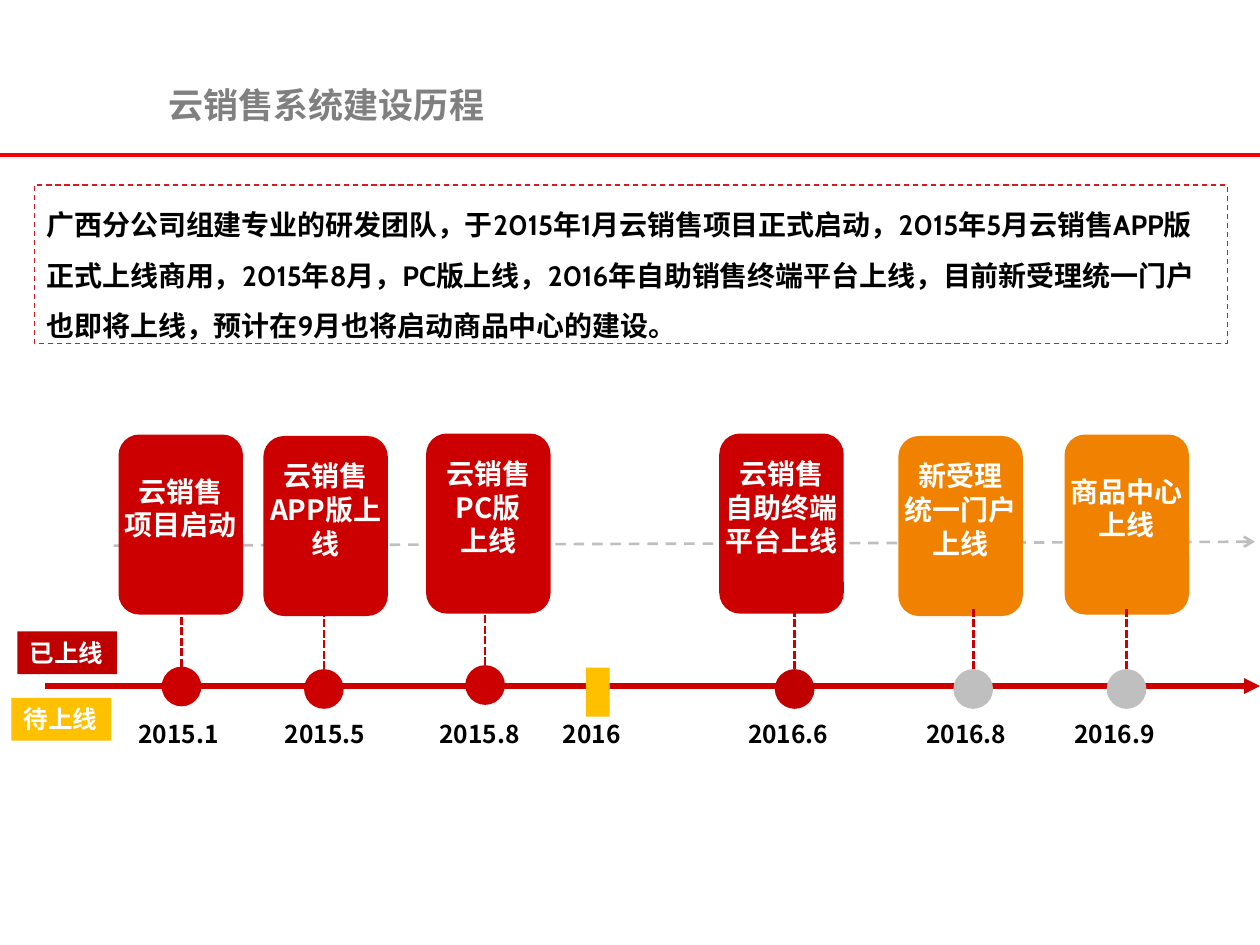
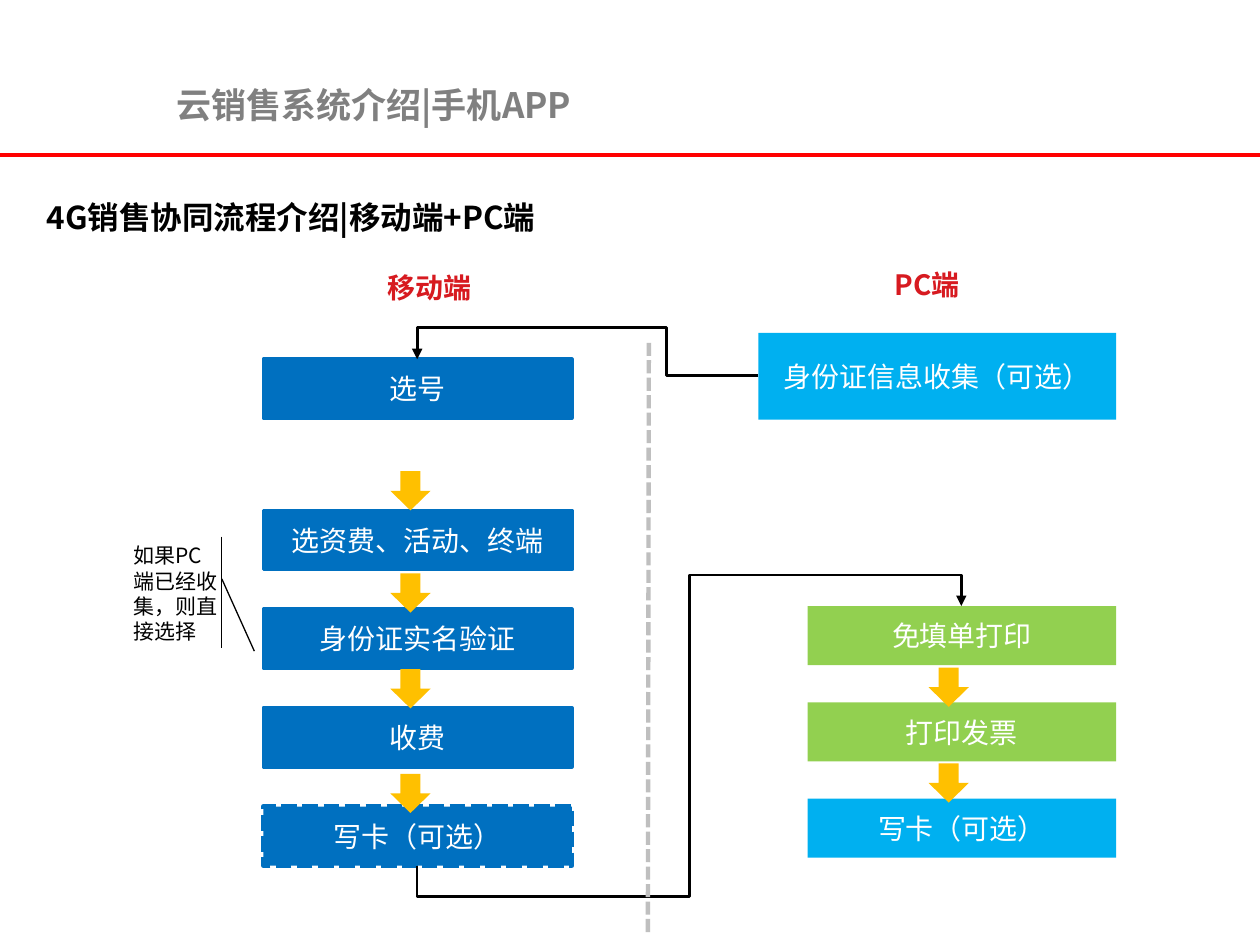
from dataclasses import dataclass

from lxml.etree import SubElement
from pptx import Presentation
from pptx.dml.color import RGBColor
from pptx.enum.dml import MSO_LINE
from pptx.enum.shapes import MSO_CONNECTOR, MSO_SHAPE
from pptx.enum.text import MSO_ANCHOR, PP_ALIGN
from pptx.oxml.ns import qn
from pptx.util import Cm, Pt


@dataclass(frozen=True)
class Theme:
    rule: str = "FF0000"
    red: str = "CC0000"
    dark_red: str = "C00000"
    accent: str = "D71A20"
    orange: str = "F18101"
    amber: str = "FFC000"
    gray: str = "BFBFBF"
    title: str = "808080"
    blue: str = "0070C0"
    sky: str = "00B0F0"
    green: str = "92D050"
    black: str = "000000"
    white: str = "FFFFFF"
    font: str = "Noto Sans CJK SC"
    body_font: str = "Cabin"
    title_font: str = "Times New Roman"
    title_size: int = 20
    heading_size: int = 18
    body_size: int = 16
    label_size: int = 14
    note_size: int = 12


THEME = Theme()


def set_all(target, values):
    for name, value in values.items():
        setattr(target, name, value)


class Deck:
    def __init__(self, theme):
        self.theme = theme
        self.prs = Presentation()
        self.prs.slide_width, self.prs.slide_height = Cm(25.4), Cm(19.05)
        self.s = None

    def new_slide(self, title, left, top, font):
        self.s = self.prs.slides.add_slide(self.prs.slide_layouts[6])
        t = self.theme
        self.line((0, 3.12), (25.4, 3.12), t.rule, 2)
        self.text(title, (left, top, 16, 1.2), size=t.title_size, color=t.title,
                  font=font, anchor=MSO_ANCHOR.MIDDLE)

    def fill_text(self, sp, text, size=THEME.body_size, color=THEME.white, bold=True,
                  font=THEME.font, align=PP_ALIGN.LEFT, anchor=MSO_ANCHOR.TOP,
                  spacing=None, **frame):
        """Fill a shape with text, one paragraph per line; frame holds text frame values."""
        tf = sp.text_frame
        set_all(tf, {"word_wrap": True, "vertical_anchor": anchor, **frame})
        for i, content in enumerate(text.split("\n")):
            p = tf.add_paragraph() if i else tf.paragraphs[0]
            set_all(p, {"alignment": align, "line_spacing": spacing})
            r = p.add_run()
            r.text = content
            set_all(r.font, {"size": Pt(size), "bold": bold, "name": font})
            r.font.color.rgb = RGBColor.from_string(color)
            SubElement(r._r.get_or_add_rPr(), qn("a:ea"), typeface=self.theme.font)

    def text(self, text, box, **style):
        sp = self.s.shapes.add_textbox(*map(Cm, box))
        self.fill_text(sp, text, **{"color": self.theme.black, **style})

    def shape(self, kind, box, fill=None, line=None, width=1, dash=None):
        sp = self.s.shapes.add_shape(kind, *map(Cm, box))
        sp.shadow.inherit = False
        if fill:
            sp.fill.solid()
            sp.fill.fore_color.rgb = RGBColor.from_string(fill)
        else:
            sp.fill.background()
        if line:
            self.stroke(sp.line, line, width, dash)
        else:
            sp.line.fill.background()
        return sp

    def box(self, text, box, fill, line=None, width=2, dash=None):
        sp = self.shape(MSO_SHAPE.RECTANGLE, box, fill, line, width, dash)
        self.fill_text(sp, text, bold=False, align=PP_ALIGN.CENTER, anchor=MSO_ANCHOR.MIDDLE)

    def down_arrow(self, left, top):
        self.shape(MSO_SHAPE.DOWN_ARROW, (left, top, 0.81, 0.79), self.theme.amber)

    def stroke(self, line, color, width, dash=None):
        line.color.rgb = RGBColor.from_string(color)
        set_all(line, {"width": Pt(width), "dash_style": dash})

    def line(self, start, end, color, width, dash=None, head=None, kind=MSO_CONNECTOR.STRAIGHT):
        c = self.s.shapes.add_connector(kind, *map(Cm, (*start, *end)))
        self.stroke(c.line, color, width, dash)
        spPr = c._element.spPr
        if head:
            SubElement(spPr.find(qn("a:ln")), qn("a:tailEnd"), type=head)
        SubElement(spPr, qn("a:effectLst"))
        return c

    def elbow(self, start, end, preset, rotation, adjustments):
        """Draw a bent arrow; start and end are its corners before rotation."""
        c = self.line(start, end, self.theme.black, 1.5, head="triangle",
                      kind=MSO_CONNECTOR.ELBOW)
        spPr = c._element.spPr
        spPr.find(qn("a:xfrm")).set("rot", str(rotation * 60000))
        geom = spPr.find(qn("a:prstGeom"))
        geom.set("prst", preset)
        guides = geom.find(qn("a:avLst"))
        if guides is None:
            guides = SubElement(geom, qn("a:avLst"))
        for i, value in enumerate(adjustments, 1):
            SubElement(guides, qn("a:gd"), name=f"adj{i}", fmla=f"val {round(value * 100000)}")


def history_slide(d):
    t = d.theme
    d.new_slide("云销售系统建设历程", 3.15, 1.51, t.title_font)
    d.line((2.29, 11), (25.3, 10.92), t.gray, 1.5, MSO_LINE.DASH, "arrow")
    d.line((0.91, 13.83), (25.4, 13.83), t.red, 3, head="triangle")

    # card left, card top, card fill, dot centre, dot top, dot fill, date left, date, text
    stages = [
        (2.39, 8.76, t.red, 3.66, 13.44, t.red, 2.54, "2015.1", "云销售\n项目启动"),
        (5.31, 8.79, t.red, 6.53, 13.49, t.red, 5.49, "2015.5", "云销售APP版上线"),
        (8.59, 8.74, t.red, 9.78, 13.41, t.red, 8.61, "2015.8", "云销售PC版\n上线"),
        (14.5, 8.74, t.red, 16.02, 13.49, t.dark_red, 14.83, "2016.6",
         "云销售\n自助终端\n平台上线"),
        (18.11, 8.79, t.orange, 19.62, 13.49, t.gray, 18.42, "2016.8",
         "新受理\n统一门户上线"),
        (21.46, 8.76, t.orange, 22.71, 13.49, t.gray, 21.41, "2016.9", "商品中心上线"),
    ]
    dot = 0.8
    for left, top, fill, centre, dot_top, dot_fill, date_left, date, text in stages:
        card = d.shape(MSO_SHAPE.ROUNDED_RECTANGLE, (left, top, 2.51, 3.63), fill)
        d.fill_text(card, text, align=PP_ALIGN.CENTER, anchor=MSO_ANCHOR.MIDDLE,
                    margin_left=0, margin_right=0, margin_top=0, margin_bottom=Cm(0.67))
        d.line((centre, dot_top), (centre, dot_top - 1.24), t.red, 1.5, MSO_LINE.SQUARE_DOT)
        d.shape(MSO_SHAPE.OVAL, (centre - dot / 2, dot_top, dot, dot), dot_fill)
        d.text(date, (date_left, 14.38, 2.6, 0.86), size=t.label_size)

    d.shape(MSO_SHAPE.RECTANGLE, (11.81, 13.46, 0.48, 0.99), t.amber)
    d.text("2016", (11.1, 14.38, 2, 0.86), size=t.label_size)

    for text, left, top, fill in [("待上线", 0.23, 14.07, t.amber),
                                  ("已上线", 0.35, 12.73, t.dark_red)]:
        tag = d.shape(MSO_SHAPE.RECTANGLE, (left, top, 2.01, 0.86), fill)
        d.fill_text(tag, text, size=t.label_size, word_wrap=False)

    summary = d.shape(MSO_SHAPE.RECTANGLE, (0.69, 3.73, 24.05, 3.2),
                      line=t.accent, width=0.75, dash=MSO_LINE.DASH)
    d.fill_text(summary, "广西分公司组建专业的研发团队，于2015年1月云销售项目正式启动，"
                "2015年5月云销售APP版正式上线商用，2015年8月，PC版上线，"
                "2016年自助销售终端平台上线，目前新受理统一门户也即将上线，"
                "预计在9月也将启动商品中心的建设。",
                color=t.black, font=t.body_font, spacing=1.5)


def process_slide(d):
    t = d.theme
    d.new_slide("云销售系统介绍|手机APP", 3.3, 1.5, t.font)
    d.text("4G销售协同流程介绍|移动端+PC端", (0.69, 3.86, 12.6, 1.02), size=t.heading_size)
    for text, left, top, width in [("移动端", 7.24, 5.33, 2.84), ("PC端", 17.5, 5.26, 2.39)]:
        d.text(text, (left, top, width, 0.94), color=t.accent, align=PP_ALIGN.CENTER)

    step_width, step_height = 6.22, 1.19
    phone_left, pc_left = 5.31, 16.28
    phone_top, phone_pitch = 10.29, 1.99
    pc_top, pc_pitch = 12.22, 1.94

    d.box("身份证信息收集（可选）", (15.29, 6.71, 7.21, 1.75), t.sky)
    d.box("选号", (phone_left, 7.24, step_width, step_height), t.blue, t.blue)
    phone_steps = ["选资费、活动、终端", "身份证实名验证", "收费"]
    for i, text in enumerate(phone_steps):
        d.box(text, (phone_left, phone_top + i * phone_pitch, step_width, step_height),
              t.blue, t.blue)
    d.box("写卡（可选）",
          (phone_left, phone_top + len(phone_steps) * phone_pitch, step_width, step_height),
          t.blue, t.blue, 3, MSO_LINE.SQUARE_DOT)
    pc_steps = [("免填单打印", t.green), ("打印发票", t.green), ("写卡（可选）", t.sky)]
    for i, (text, fill) in enumerate(pc_steps):
        d.box(text, (pc_left, pc_top + i * pc_pitch, step_width, step_height), fill)

    for top in (9.5, 11.56, 13.49, 15.6):
        d.down_arrow(7.87, top)
    for top in (13.46, 15.39):
        d.down_arrow(18.72, top)

    d.elbow((16.51, 20.32), (11.28, 9.35), "bentConnector5", 90, (-0.12, 0.5, 1.12))
    d.elbow((8.41, 7.24), (15.29, 7.57), "bentConnector4", 180, (0.27, 2.93))

    note = d.shape(MSO_SHAPE.LINE_CALLOUT_1_ACCENT_BAR, (2.44, 10.82, 2.26, 2.24),
                   line=t.black, width=0.75)
    for i, value in enumerate((0.38, 0.1, 1.03, -0.19)):
        note.adjustments[i] = value
    note._element.spPr.find(qn("a:xfrm")).set("flipH", "1")
    d.fill_text(note, "如果PC端已经收集，则直接选择", size=t.note_size, color=t.black, bold=False)

    d.line((13.08, 6.91), (13.06, 18.87), t.gray, 2.5, MSO_LINE.SQUARE_DOT)


def main():
    d = Deck(THEME)
    history_slide(d)
    process_slide(d)
    d.prs.save("out.pptx")


if __name__ == "__main__":
    main()
